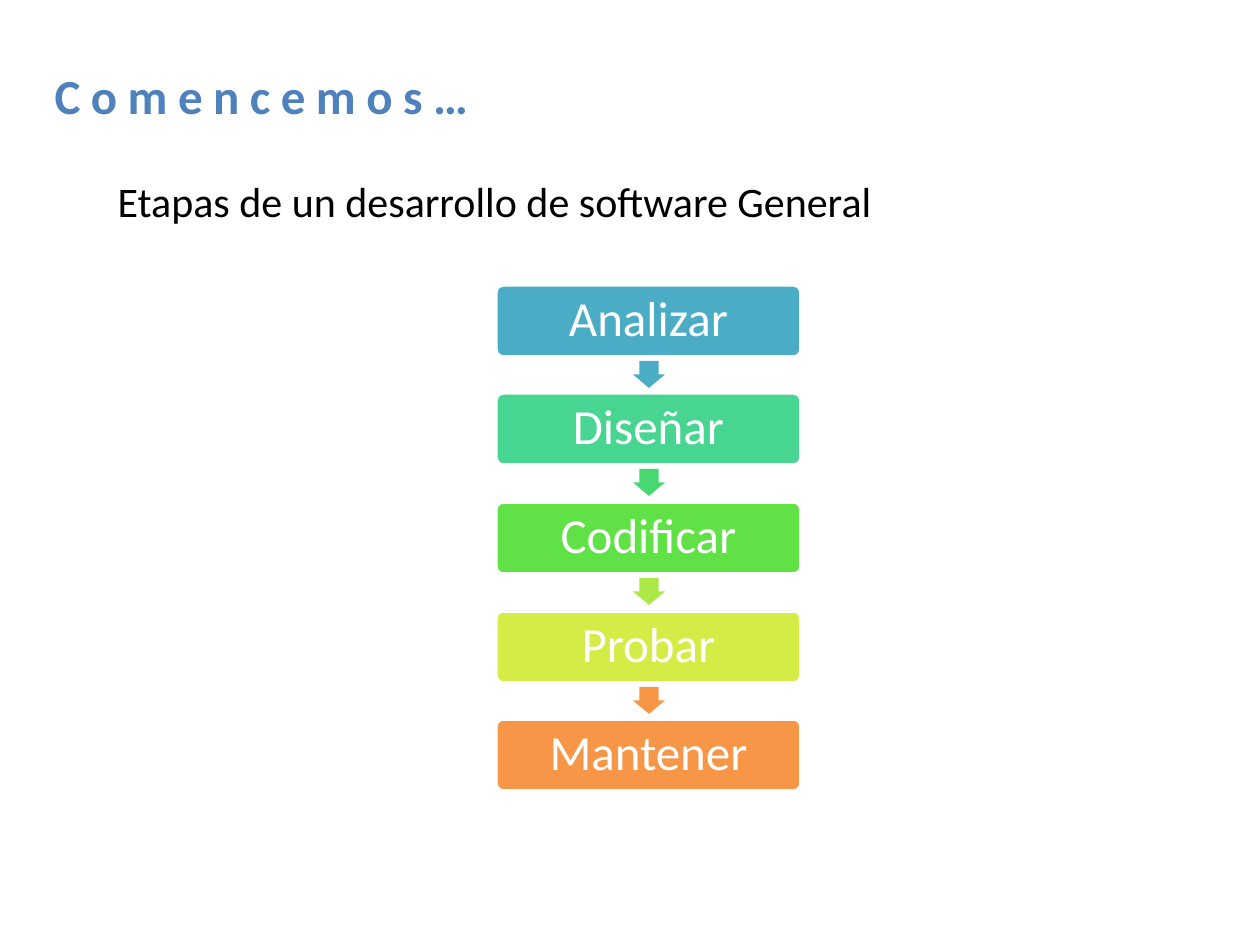
from dataclasses import dataclass

import pptx
import pptx.dml.color
import pptx.enum.shapes
import pptx.enum.text
import pptx.oxml.ns
import pptx.util
from lxml import etree

Shape = pptx.enum.shapes.MSO_SHAPE
Anchor = pptx.enum.text.MSO_ANCHOR
Align = pptx.enum.text.PP_ALIGN


@dataclass(frozen=True)
class Theme:
    font: str = "Calibri"
    heading: str = "4F81BD"
    text: str = "000000"
    white: str = "FFFFFF"
    large: int = 28
    medium: int = 24


@dataclass(frozen=True)
class Area:
    left: int
    top: int
    width: int
    height: int


@dataclass(frozen=True)
class Stage:
    name: str
    fill: str
    arrow_fill: str | None = None  # arrow leading to the next stage


THEME = Theme()
PX_PER_INCH = 126
STAGES = [
    Stage("Analizar", "4BACC6", "4BACC6"),
    Stage("Diseñar", "48D491", "47D872"),
    Stage("Codificar", "60E146", "ACE946"),
    Stage("Probar", "D5EC46", "F79646"),
    Stage("Mantener", "F79646"),
]
FIRST_BOX = Area(496, 285, 305, 72)
FIRST_ARROW = Area(633, 361, 32, 27)
LAST_OFFSET = 434  # from the first stage to the last


def px(length: int) -> int:
    return round(length * 914400 / PX_PER_INCH)


def rgb(color: str) -> pptx.dml.color.RGBColor:
    return pptx.dml.color.RGBColor.from_string(color)


def set_font(paragraph, size: int, color: str, bold: bool = False) -> None:
    font = paragraph.font
    font.name = THEME.font
    font.size = pptx.util.Pt(size)
    font.bold = bold
    font.color.rgb = rgb(color)


def place(shape, area: Area) -> None:
    shape.left, shape.top = px(area.left), px(area.top)
    shape.width, shape.height = px(area.width), px(area.height)


def fill_placeholder(box, area: Area, text: str):
    """Move a text placeholder and return its only paragraph."""
    place(box, area)
    frame = box.text_frame
    frame.text = text
    frame.word_wrap = True
    frame.auto_size = pptx.enum.text.MSO_AUTO_SIZE.NONE
    frame.vertical_anchor = Anchor.TOP
    para = frame.paragraphs[0]
    para.alignment = Align.LEFT
    para.line_spacing = 1.5
    para.space_before = pptx.util.Pt(0)
    return para


def add_filled(page, kind, area: Area, offset: int, color: str):
    shape = page.shapes.add_shape(
        kind, px(area.left), px(area.top + offset), px(area.width), px(area.height))
    shape.shadow.inherit = False
    shape.fill.solid()
    shape.fill.fore_color.rgb = rgb(color)
    return shape


def add_stage(page, stage: Stage, offset: int) -> None:
    box = add_filled(page, Shape.ROUNDED_RECTANGLE, FIRST_BOX, offset, stage.fill)
    box.adjustments[0] = 0.1
    box.line.color.rgb = rgb(THEME.white)
    box.line.width = pptx.util.Pt(2)
    frame = box.text_frame
    frame.word_wrap = True
    frame.vertical_anchor = Anchor.MIDDLE
    frame.margin_top = frame.margin_bottom = 0
    para = frame.paragraphs[0]
    para.text = stage.name
    para.alignment = Align.CENTER
    para.line_spacing = 0.9
    set_font(para, THEME.large, THEME.white)

    if stage.arrow_fill:
        arrow = add_filled(page, Shape.DOWN_ARROW, FIRST_ARROW, offset, stage.arrow_fill)
        arrow.adjustments[0] = 0.6
        arrow.adjustments[1] = 0.5
        arrow.line.fill.background()


def main() -> None:
    deck = pptx.Presentation()
    deck.slide_width, deck.slide_height = px(1260), px(945)
    page = deck.slides.add_slide(deck.slide_layouts[1])

    # Title with wide letter spacing
    para = fill_placeholder(page.shapes.title, Area(42, 30, 1114, 92), "Comencemos…")
    set_font(para, THEME.large, THEME.heading, bold=True)
    para.runs[0]._r.get_or_add_rPr().set("spc", "600")

    # Indented subtitle without a bullet
    para = fill_placeholder(page.placeholders[1], Area(42, 144, 1216, 165),
                            "Etapas de un desarrollo de software General")
    para.level = 1
    set_font(para, THEME.medium, THEME.text)
    properties = para._p.get_or_add_pPr()
    properties.set("marL", str(px(63)))
    properties.set("indent", "0")
    bullet = etree.Element(pptx.oxml.ns.qn("a:buNone"))
    properties.find(pptx.oxml.ns.qn("a:defRPr")).addprevious(bullet)

    # Stages at equal steps
    for index, stage in enumerate(STAGES):
        add_stage(page, stage, round(index * LAST_OFFSET / (len(STAGES) - 1)))

    deck.save("out.pptx")


if __name__ == "__main__":
    main()
